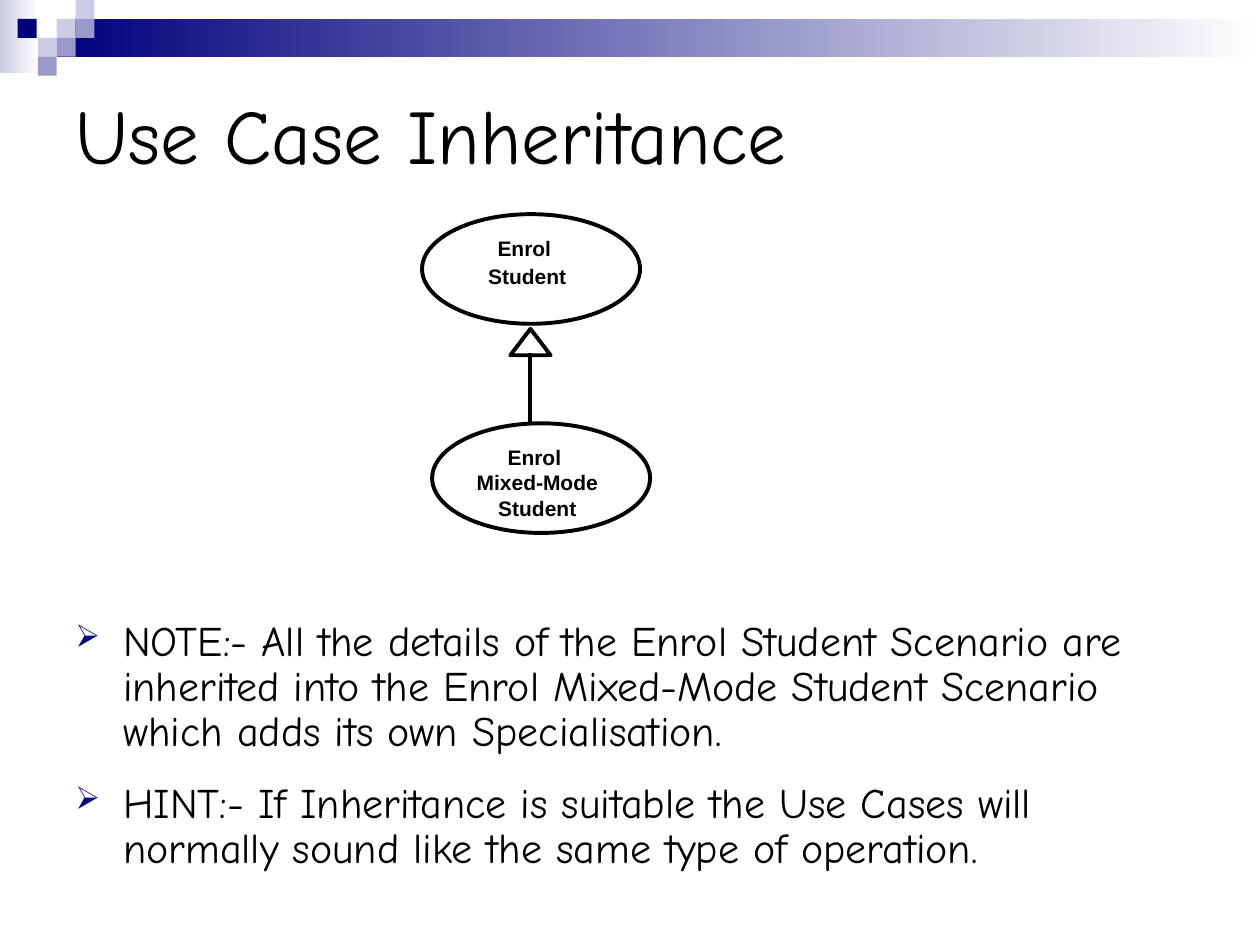
from lxml import etree
from pptx import Presentation
from pptx.dml.color import RGBColor
from pptx.enum import shapes, text
from pptx.oxml import ns
from pptx.util import Inches, Pt

NAVY, LILAC, PALE, BLACK, WHITE = "00007D", "9999CC", "CCCCE6", "000000", "FFFFFF"
HEADING_FONT, DIAGRAM_FONT = "Comic Neue", "Arial"

TITLE = "Use Case Inheritance"
NOTES = [
    "NOTE:- All the details of the Enrol Student Scenario are inherited into the "
    "Enrol Mixed-Mode Student Scenario which adds its own Specialisation.",
    "HINT:- If Inheritance is suitable the Use Cases will normally sound like "
    "the same type of operation.",
]
# Use cases: left, top, label height, space before each line, label lines
USE_CASES = [
    (3.35, 1.7, 0.52, 1.5, ["Enrol ", "Student"]),
    (3.43, 3.36, 0.7, 0, ["Enrol ", "Mixed-Mode", "Student"]),
]
# Banner: gradient bars, then tiles as left, top, colour
BARS = [((0, 0, 0.31, 0.58), PALE), ((0.45, 0.15, 9.55, 0.3), NAVY)]
TILE = 0.15
TILES = [
    (0.45, 0.15, PALE), (0.6, 0, PALE), (0.6, 0.15, LILAC), (0.3, 0.3, PALE),
    (0.14, 0.15, NAVY), (0.45, 0.3, LILAC), (0.3, 0.45, LILAC),
]

prs = Presentation()
prs.slide_width, prs.slide_height = Inches(10), Inches(7.5)
slide = prs.slides.add_slide(prs.slide_layouts[6])


def rgb(value):
    return RGBColor.from_string(value)


def add_shape(kind, box, fill=None, outlined=False):
    shape = slide.shapes.add_shape(kind, *map(Inches, box))
    shape.shadow.inherit = False
    if fill:
        shape.fill.solid()
        shape.fill.fore_color.rgb = rgb(fill)
    else:
        shape.fill.background()
    if outlined:
        shape.line.color.rgb = rgb(BLACK)
        shape.line.width = Pt(2.25)
    else:
        shape.line.fill.background()
    return shape


def add_text(box, lines, font, size, bold=False, align=text.PP_ALIGN.LEFT,
             anchor=text.MSO_ANCHOR.TOP):
    frame = slide.shapes.add_textbox(*map(Inches, box)).text_frame
    frame.word_wrap = True
    frame.vertical_anchor = anchor
    frame.text = "\n".join(lines)
    for paragraph in frame.paragraphs:
        paragraph.alignment = align
        for run in paragraph.runs:
            run.font.name, run.font.size, run.font.bold = font, Pt(size), bold
            run.font.color.rgb = rgb(BLACK)
    return frame.paragraphs


def add_bullet(paragraph):
    props = paragraph._p.get_or_add_pPr()
    props.set("marL", str(Inches(0.38)))
    props.set("indent", str(-Inches(0.38)))
    colour = etree.SubElement(props, ns.qn("a:buClr"))
    etree.SubElement(colour, ns.qn("a:srgbClr"), val=NAVY)
    etree.SubElement(props, ns.qn("a:buSzPct"), val="75000")
    etree.SubElement(props, ns.qn("a:buChar"), char="➢")


# Banner
for box, colour in BARS:
    bar = add_shape(shapes.MSO_SHAPE.RECTANGLE, box)
    bar.fill.gradient()
    bar.fill.gradient_angle = 0
    for stop, (position, shade) in zip(bar.fill.gradient_stops, [(0, colour), (1, WHITE)]):
        stop.position, stop.color.rgb = position, rgb(shade)
for left, top, colour in TILES:
    add_shape(shapes.MSO_SHAPE.RECTANGLE, (left, top, TILE, TILE), colour)

# Title and notes
add_text((0.5, 0.5, 9, 1.12), [TITLE], HEADING_FONT, 44, anchor=text.MSO_ANCHOR.MIDDLE)
notes = add_text((0.5, 4.87, 9, 2.11), NOTES, HEADING_FONT, 24)
for note, space in zip(notes, [0, 15]):
    note.line_spacing = 0.9
    note.space_before = Pt(space)
    add_bullet(note)

# Use cases
for left, top, height, space, lines in USE_CASES:
    add_shape(shapes.MSO_SHAPE.OVAL, (left, top, 1.73, 0.87), outlined=True)
    label = add_text((left, top + 0.12, 1.67, height), lines, DIAGRAM_FONT, 12,
                     bold=True, align=text.PP_ALIGN.CENTER)
    for line in label:
        line.space_before = Pt(space)

# Inheritance arrow
add_shape(shapes.MSO_SHAPE.ISOSCELES_TRIANGLE, (4.05, 2.61, 0.32, 0.21), outlined=True)
stem = slide.shapes.add_connector(
    shapes.MSO_CONNECTOR.STRAIGHT, *map(Inches, (4.21, 2.8, 4.21, 3.36)))
stem.line.color.rgb = rgb(BLACK)
stem.line.width = Pt(2.25)
etree.SubElement(stem._element.spPr, ns.qn("a:effectLst"))

prs.save("out.pptx")
